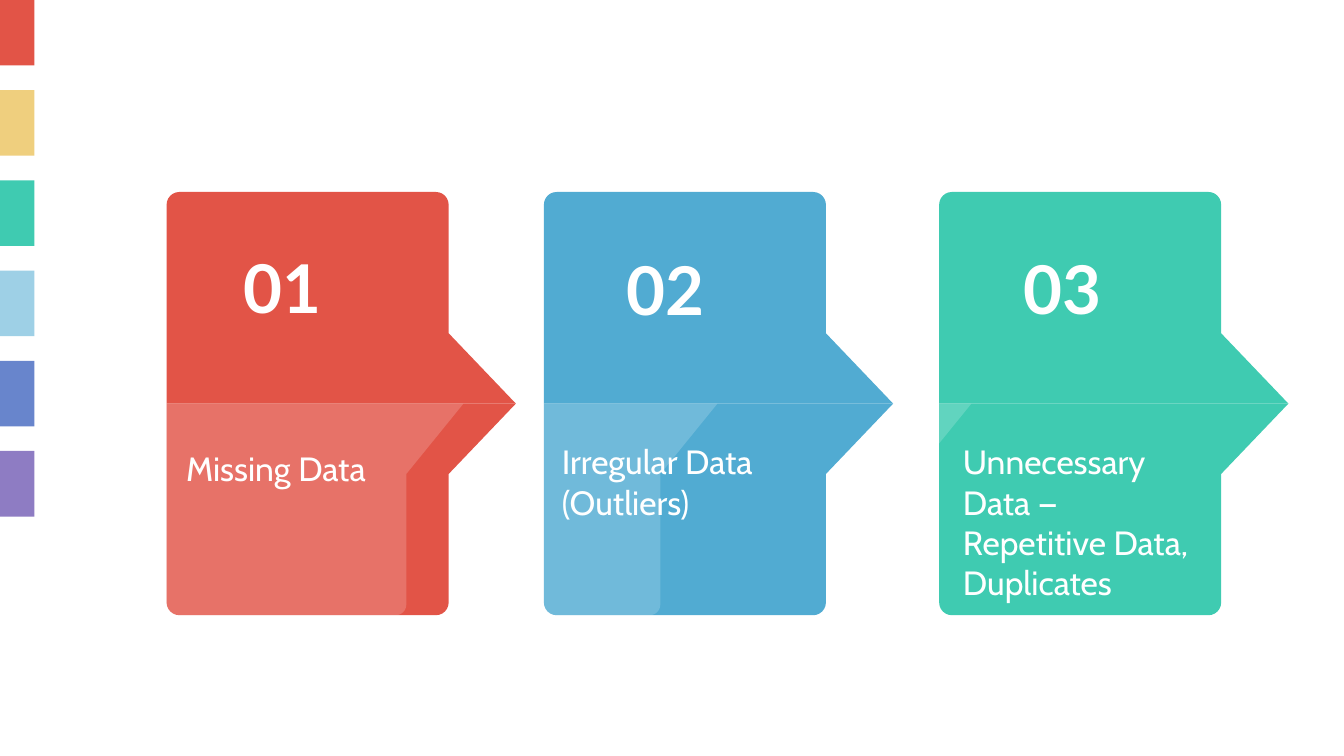
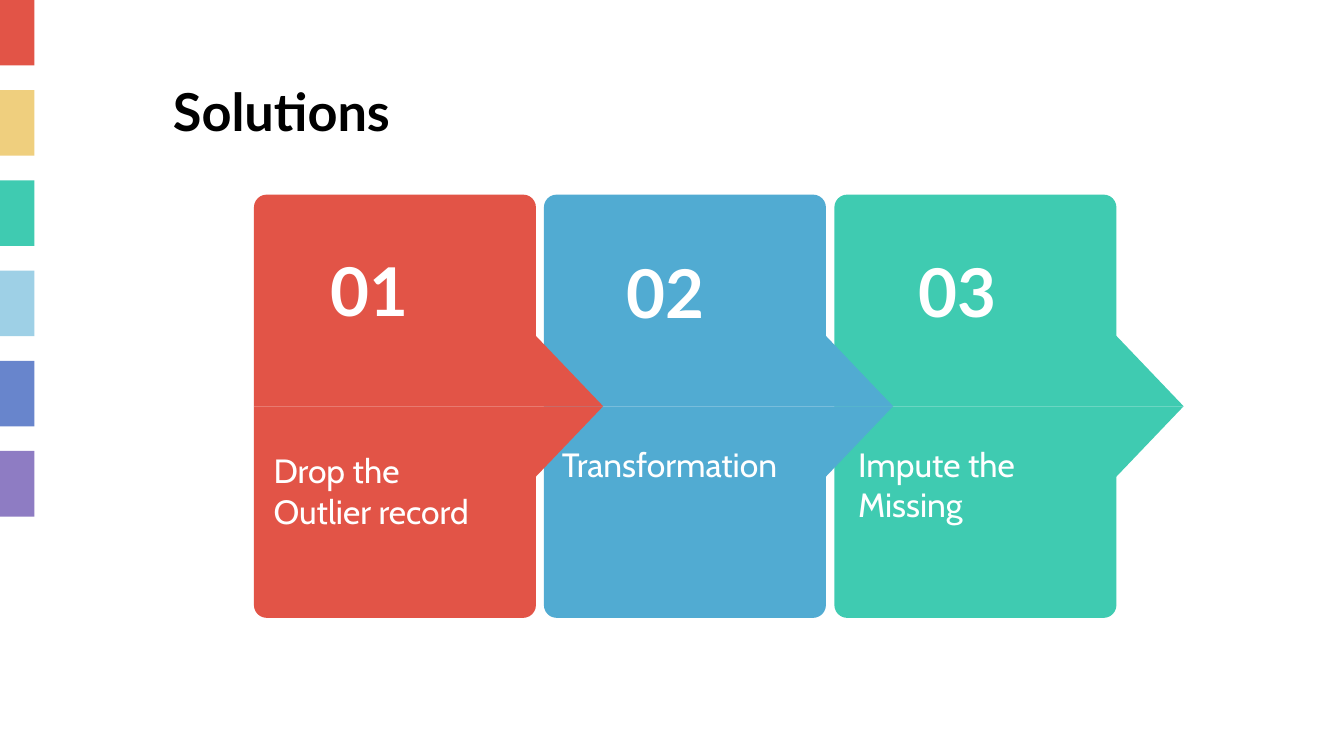
"""Build two slides of numbered arrow cards: data problems and their solutions."""
import math

import lxml.etree
import pptx
import pptx.dml.color
import pptx.enum.shapes
import pptx.enum.text
import pptx.oxml.ns
import pptx.util

Cm = pptx.util.Cm
COLORS = {
    "red": "E25447", "yellow": "EFCF7E", "green": "3FCBB1", "sky": "9ED0E6",
    "indigo": "6885CC", "purple": "8E7CC3", "blue": "51ABD2",
    "white": "FFFFFF", "black": "000000",
}
STRIPES = ["red", "yellow", "green", "sky", "indigo", "purple"]
TITLE = {"name": "Lato", "size": pptx.util.Pt(28), "bold": True}
NUMBER = {"name": "Lato", "size": pptx.util.Pt(36), "bold": True}
BODY = {"name": "Cabin", "size": pptx.util.Pt(18), "bold": False}
HALF_HEIGHT, SHOULDER = 4, 1.33

CARDS = [
    {"number": "01", "color": "red", "num_dy": -3.4, "num_w": 2.11,
     "body_dx": 0.12, "body_dy": 0.58, "body_w": 4.42},
    {"number": "02", "color": "blue", "num_dy": -3.36, "num_w": 2.34,
     "body_dx": 0.09, "body_dy": 0.46, "body_w": 4.93},
    {"number": "03", "color": "green", "num_dy": -3.38, "num_w": 2.41,
     "body_dx": 0.2, "body_dy": 0.46, "body_w": 4.95},
]
SLIDES = [
    {"title": None, "middle": 7.63, "lefts": [3.15, 10.28, 17.75],
     "veils": [3.15, 7.95, 12.75], "text_in_group": False,
     "bodies": ["Missing Data", "Irregular Data (Outliers)",
                "Unnecessary Data — Repetitive Data, Duplicates"]},
    {"title": "Solutions", "middle": 7.68, "lefts": [4.8, 10.28, 15.77],
     "veils": [None, None, None], "text_in_group": True,
     "bodies": ["Drop the Outlier record", "Transformation", "Impute the Missing"]},
]


def paint(sp, color, alpha=100):
    sp.shadow.inherit = False
    sp.line.fill.background()
    sp.fill.solid()
    sp.fill.fore_color.rgb = pptx.dml.color.RGBColor.from_string(COLORS[color])
    if alpha < 100:
        clr = sp._element.spPr.find(".//" + pptx.oxml.ns.qn("a:srgbClr"))
        lxml.etree.SubElement(clr, pptx.oxml.ns.qn("a:alpha"), val=str(alpha * 1000))


def add_text(shapes, box, text, font, color="white", centred=False):
    tf = shapes.add_textbox(*[Cm(v) for v in box]).text_frame
    tf.word_wrap = True
    tf.margin_left = tf.margin_right = Cm(0.25)
    tf.margin_top = tf.margin_bottom = Cm(0.13 if centred else 0.25)
    p = tf.paragraphs[0]
    if centred:
        tf.vertical_anchor = pptx.enum.text.MSO_ANCHOR.MIDDLE
        p.alignment = pptx.enum.text.PP_ALIGN.CENTER
    r = p.add_run()
    r.text = text
    for key, value in font.items():
        setattr(r.font, key, value)
    r.font.color.rgb = pptx.dml.color.RGBColor.from_string(COLORS[color])


prs = pptx.Presentation()
prs.slide_width, prs.slide_height = Cm(25.4), Cm(14.29)

for page in SLIDES:
    s = prs.slides.add_slide(prs.slide_layouts[6])
    for i, color in enumerate(STRIPES):
        paint(s.shapes.add_shape(pptx.enum.shapes.MSO_SHAPE.RECTANGLE,
                                 0, Cm(1.705 * i), Cm(0.65), Cm(1.24)), color)
    if page["title"]:
        add_text(s.shapes, (3.02, 1.24, 20.14, 1.6), page["title"], TITLE, "black")

    middle = page["middle"]
    rows = list(zip(CARDS, page["lefts"], page["veils"], page["bodies"]))
    for card, left, veil, body in reversed(rows):
        group = s.shapes.add_group_shape().shapes
        parts = [(group, left, 5.33, 6.6, 0.24, side, card["color"], 100)
                 for side in (-1, 1)]
        text_shapes = group if page["text_in_group"] else s.shapes
        if veil is not None:
            parts.append((s.shapes, veil, 4.53, 5.61, 0.2, 1, "white", 18))
        for shapes, x, width, tip, radius, side, color, alpha in parts:
            points = [(tip, 0), (width, SHOULDER)]
            for centre, start in ((width - radius, 0), (radius, 90)):
                for angle in range(start, start + 91, 15):
                    a = math.radians(angle)
                    points.append((centre + radius * math.cos(a),
                                   HALF_HEIGHT - radius + radius * math.sin(a)))
            fb = shapes.build_freeform(Cm(x), Cm(middle))
            fb.add_line_segments([(Cm(x + dx), Cm(middle + side * dy))
                                  for dx, dy in points])
            paint(fb.convert_to_shape(), color, alpha)
        add_text(text_shapes, (left + 1.13, middle + card["num_dy"], card["num_w"], 2.39),
                 card["number"], NUMBER, centred=True)
        add_text(text_shapes, (left + card["body_dx"], middle + card["body_dy"],
                               card["body_w"], 3.81), body, BODY)

prs.save("out.pptx")
